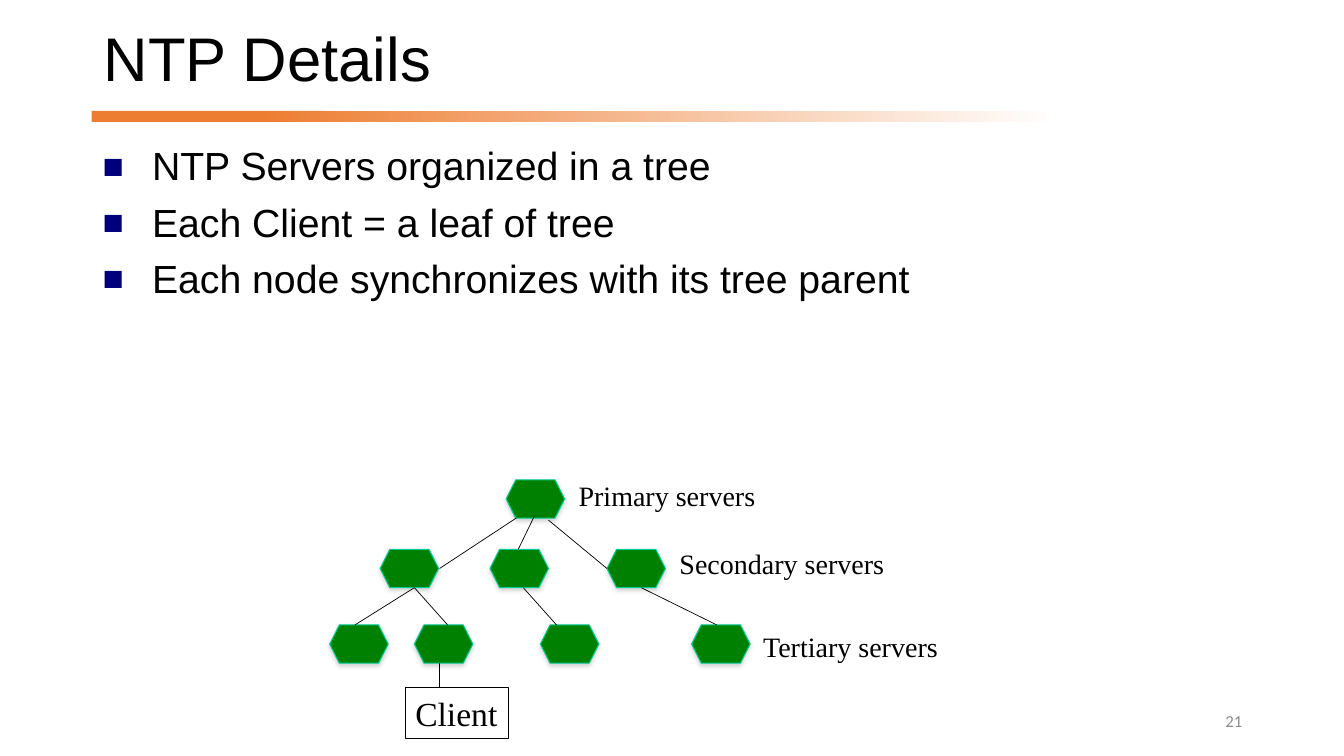
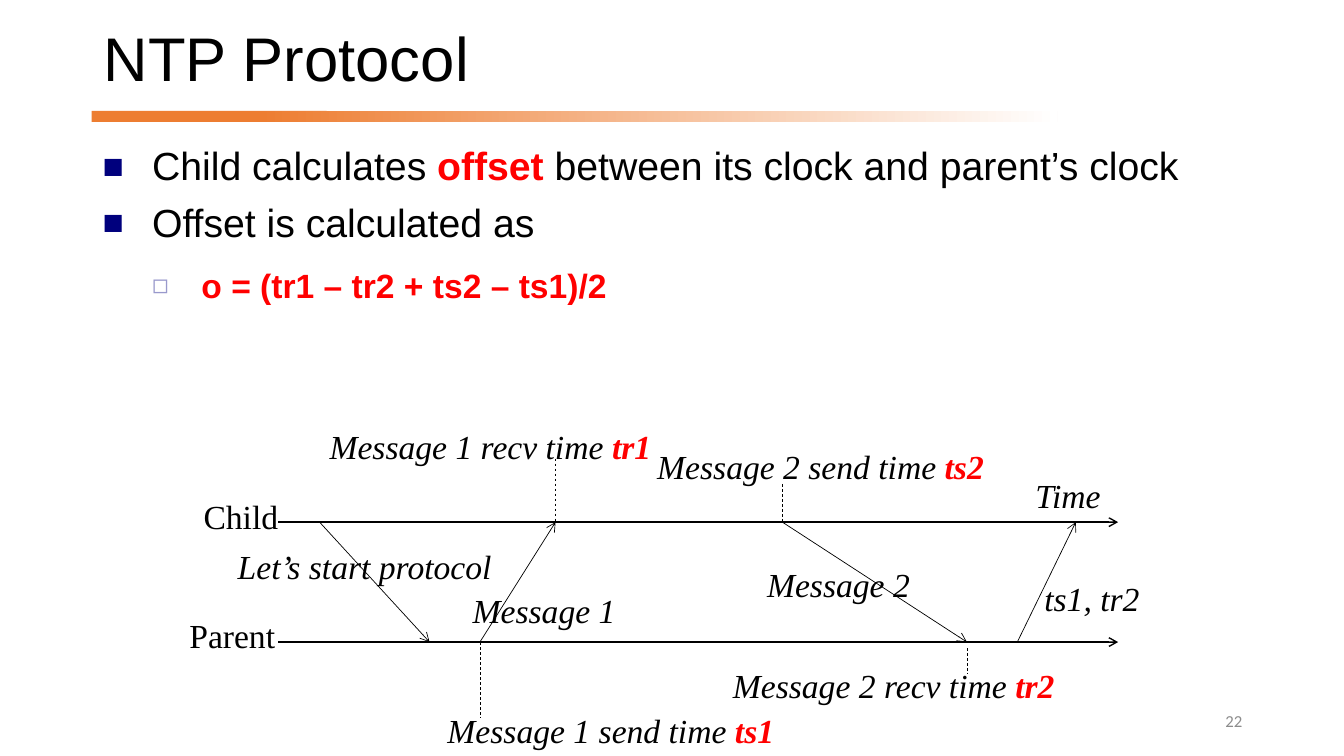
"""Build two slides on the Network Time Protocol: server tree and message exchange."""
from lxml import etree
from pptx import Presentation
from pptx.dml.color import RGBColor
from pptx.enum.dml import MSO_LINE
from pptx.enum.shapes import MSO_CONNECTOR, MSO_SHAPE
from pptx.enum.text import MSO_ANCHOR, MSO_AUTO_SIZE, PP_ALIGN
from pptx.oxml.ns import qn
from pptx.util import Emu, Pt

RECTANGLE, HEXAGON = MSO_SHAPE.RECTANGLE, MSO_SHAPE.HEXAGON
STRAIGHT, DASH = MSO_CONNECTOR.STRAIGHT, MSO_LINE.DASH
MIDDLE, RIGHT = MSO_ANCHOR.MIDDLE, PP_ALIGN.RIGHT
GROW = MSO_AUTO_SIZE.SHAPE_TO_FIT_TEXT

PX = 9144
BLACK, WHITE, RED, ORANGE = "000000", "FFFFFF", "FF0000", "ED7D31"
GREEN, MINT, GREY, SHADE = "008000", "00CC98", "8C8C8C", "808080"
SANS, SERIF, NUMBER_FONT = "Arial", "Times New Roman", "Calibri"

# Text between bars is red and bold.
LEVELS = [
    dict(indent=49, spacing=0.9, before=10, bullet="■", tint="00007D", percent=90, size=28),
    dict(indent=98, spacing=1.3, before=5, bullet="◻", tint="9999CC", percent=80, size=24),
]
HANGING = 49

DETAILS = [
    (0, "NTP Servers organized in a tree"),
    (0, "Each Client = a leaf of tree"),
    (0, "Each node synchronizes with its tree parent"),
]
PROTOCOL = [
    (0, "Child calculates |offset| between its clock and parent’s clock"),
    (0, "Offset is calculated as"),
    (1, "|o = (tr1 – tr2 + ts2 – ts1)/2|"),
]

SERVER_SIZE = (58, 38)
SERVER_ROWS = [
    (476, [502], "Primary servers", (564, 470, 197, 44)),
    (545, [377, 486, 602], "Secondary servers", (664, 537, 225, 44)),
    (620, [327, 411, 536, 686], "Tertiary servers", (747, 620, 195, 44)),
]
BRANCHES = [
    (512, 514, 436, 564), (530, 512, 514, 545), (544, 516, 602, 564),
    (411, 583, 352, 620), (411, 583, 444, 620),
    (519, 583, 552, 620), (636, 583, 711, 620),
    (436, 658, 436, 683),
]
CLIENT_BOX = (402, 682, 102, 51)

CHILD_Y, PARENT_Y = 518, 637
AXIS_START, AXIS_END = 276, 1109
AXES = [
    (CHILD_Y, "Child", (192, 487, 95)),
    (PARENT_Y, "Parent", (178, 605, 106)),
]
MESSAGES = [
    (317, CHILD_Y, 426, PARENT_Y, "Let’s start protocol", (226, 537, 274)),
    (476, PARENT_Y, 551, CHILD_Y, "Message 1", (459, 580, 163)),
    (776, CHILD_Y, 959, PARENT_Y, "Message 2", (751, 555, 163)),
    (1009, PARENT_Y, 1067, CHILD_Y, "ts1, tr2", (1026, 568, 116)),
]
MOMENTS = [
    (476, PARENT_Y, 712, "Message 1 send time |ts1|", (434, 699, 347)),
    (776, 480, CHILD_Y, "Message 2 send time |ts2|", (642, 437, 347)),
    (551, 455, CHILD_Y, "Message 1 recv time |tr1|", (317, 418, 342)),
    (959, 643, 668, "Message 2 recv time |tr2|", (717, 655, 342)),
]
TIME_BOX = (1017, 466, 86)
LABEL_HEIGHT = 50


def rgb(value):
    """Turn a hex string into a colour."""
    return RGBColor.from_string(value)


def px(*lengths):
    """Turn pixel lengths into EMU."""
    return [Emu(length * PX) for length in lengths]


def add_node(parent, tag, **attributes):
    """Append a drawing element to an XML parent."""
    node = etree.SubElement(parent, qn(f"a:{tag}"))
    for key, value in attributes.items():
        node.set(key, str(value))
    return node


def write(paragraph, text, size, font=SANS, color=BLACK, italic=False):
    """Fill a paragraph, with the marked parts red and bold."""
    paragraph.font.size = Pt(size)
    paragraph.font.name = font
    paragraph.font.italic = italic
    paragraph.font.color.rgb = rgb(color)
    for index, part in enumerate(text.split("|")):
        if part:
            run = paragraph.add_run()
            run.text = part
            if index % 2:
                run.font.bold = True
                run.font.color.rgb = rgb(RED)


def add_text(slide, box, text, size, **style):
    """Add a wrapped text box, anchored in the middle."""
    frame = slide.shapes.add_textbox(*px(*box)).text_frame
    frame.word_wrap = True
    frame.vertical_anchor = MIDDLE
    write(frame.paragraphs[0], text, size, **style)
    return frame.paragraphs[0]


def add_label(slide, box, text, size=24, italic=False):
    """Add a one-line diagram label that grows with its text."""
    label = slide.shapes.add_textbox(*px(*box))
    label.text_frame.word_wrap = False
    label.text_frame.auto_size = GROW
    write(label.text_frame.paragraphs[0], text, size, SERIF, italic=italic)
    return label


def add_line(slide, ends, width=0.5, arrow=False, dashed=False):
    """Add a black straight line, with an arrowhead or dashes if asked."""
    connector = slide.shapes.add_connector(STRAIGHT, *px(*ends))
    connector.line.width = Pt(width)
    connector.line.color.rgb = rgb(BLACK)
    if dashed:
        connector.line.dash_style = DASH
    if arrow:
        add_node(connector.line._get_or_add_ln(), "tailEnd", type="arrow")
    add_node(connector._element.spPr, "effectLst")


def add_band(slide, box):
    """Add a borderless title band and return its fill."""
    band = slide.shapes.add_shape(RECTANGLE, *px(*box))
    band.shadow.inherit = False
    band.line.fill.background()
    return band.fill


def add_bullets(slide, items):
    """Add the bulleted body text."""
    frame = slide.shapes.add_textbox(*px(92, 141, 1150, 210)).text_frame
    frame.word_wrap = True
    for index, (level, text) in enumerate(items):
        look = LEVELS[level]
        paragraph = frame.add_paragraph() if index else frame.paragraphs[0]
        paragraph.level = level
        paragraph.line_spacing = look["spacing"]
        paragraph.space_before = Pt(look["before"])
        properties = paragraph._p.get_or_add_pPr()
        properties.set("marL", str(look["indent"] * PX))
        properties.set("indent", str(-HANGING * PX))
        add_node(add_node(properties, "buClr"), "srgbClr", val=look["tint"])
        add_node(properties, "buSzPct", val=look["percent"] * 1000)
        add_node(properties, "buFont", typeface=SANS)
        add_node(properties, "buChar", char=look["bullet"])
        write(paragraph, text, look["size"])


def add_slide(deck, title, number, items):
    """Add a slide with its bands, title, number and bullets."""
    slide = deck.slides.add_slide(deck.slide_layouts[6])
    solid = add_band(slide, (91, 110, 233, 11))
    solid.solid()
    solid.fore_color.rgb = rgb(ORANGE)
    fade = add_band(slide, (257, 110, 792, 11))
    fade.gradient()
    fade.gradient_angle = 0
    for stop, color, position in zip(fade.gradient_stops, (ORANGE, WHITE), (0, 1)):
        stop.color.rgb = rgb(color)
        stop.position = position
    add_text(slide, (93, 17, 1114, 89), title, 44).line_spacing = 0.9
    page = add_text(slide, (942, 695, 300, 40), number, 12, font=NUMBER_FONT, color=GREY)
    page.alignment = RIGHT
    add_bullets(slide, items)
    return slide


def add_server(slide, left, top):
    """Add one server hexagon with its soft shadow."""
    server = slide.shapes.add_shape(HEXAGON, *px(left, top, *SERVER_SIZE))
    server.adjustments[0] = 0.25
    server.fill.solid()
    server.fill.fore_color.rgb = rgb(GREEN)
    server.line.color.rgb = rgb(MINT)
    server.line.width = Pt(0.75)
    effects = add_node(server._element.spPr, "effectLst")
    shadow = add_node(effects, "outerShdw", blurRad=Pt(3.1), dist=Pt(1.8),
                      dir=90 * 60000, rotWithShape=0)
    add_node(add_node(shadow, "srgbClr", val=SHADE), "alpha", val=35000)


def draw_tree(slide):
    """Draw the server tree with its client."""
    for top, lefts, name, box in SERVER_ROWS:
        for left in lefts:
            add_server(slide, left, top)
        add_label(slide, box, name, 20)
    client = add_label(slide, CLIENT_BOX, "Client")
    client.line.color.rgb = rgb(BLACK)
    client.line.width = Pt(0.75)
    for ends in BRANCHES:
        add_line(slide, ends)


def draw_exchange(slide):
    """Draw the timelines, messages and marked moments."""
    for y, name, box in AXES:
        add_line(slide, (AXIS_START, y, AXIS_END, y), width=1, arrow=True)
        add_label(slide, (*box, LABEL_HEIGHT), name)
    add_label(slide, (*TIME_BOX, LABEL_HEIGHT), "Time", italic=True)
    for *ends, name, box in MESSAGES:
        add_line(slide, ends, arrow=True)
        add_label(slide, (*box, LABEL_HEIGHT), name, italic=True)
    for x, top, bottom, name, box in MOMENTS:
        add_line(slide, (x, top, x, bottom), dashed=True)
        add_label(slide, (*box, LABEL_HEIGHT), name, italic=True)


def main():
    """Build and save the deck."""
    deck = Presentation()
    deck.slide_width, deck.slide_height = px(1333, 750)
    draw_tree(add_slide(deck, "NTP Details", "21", DETAILS))
    draw_exchange(add_slide(deck, "NTP Protocol", "22", PROTOCOL))
    deck.save("out.pptx")


if __name__ == "__main__":
    main()
